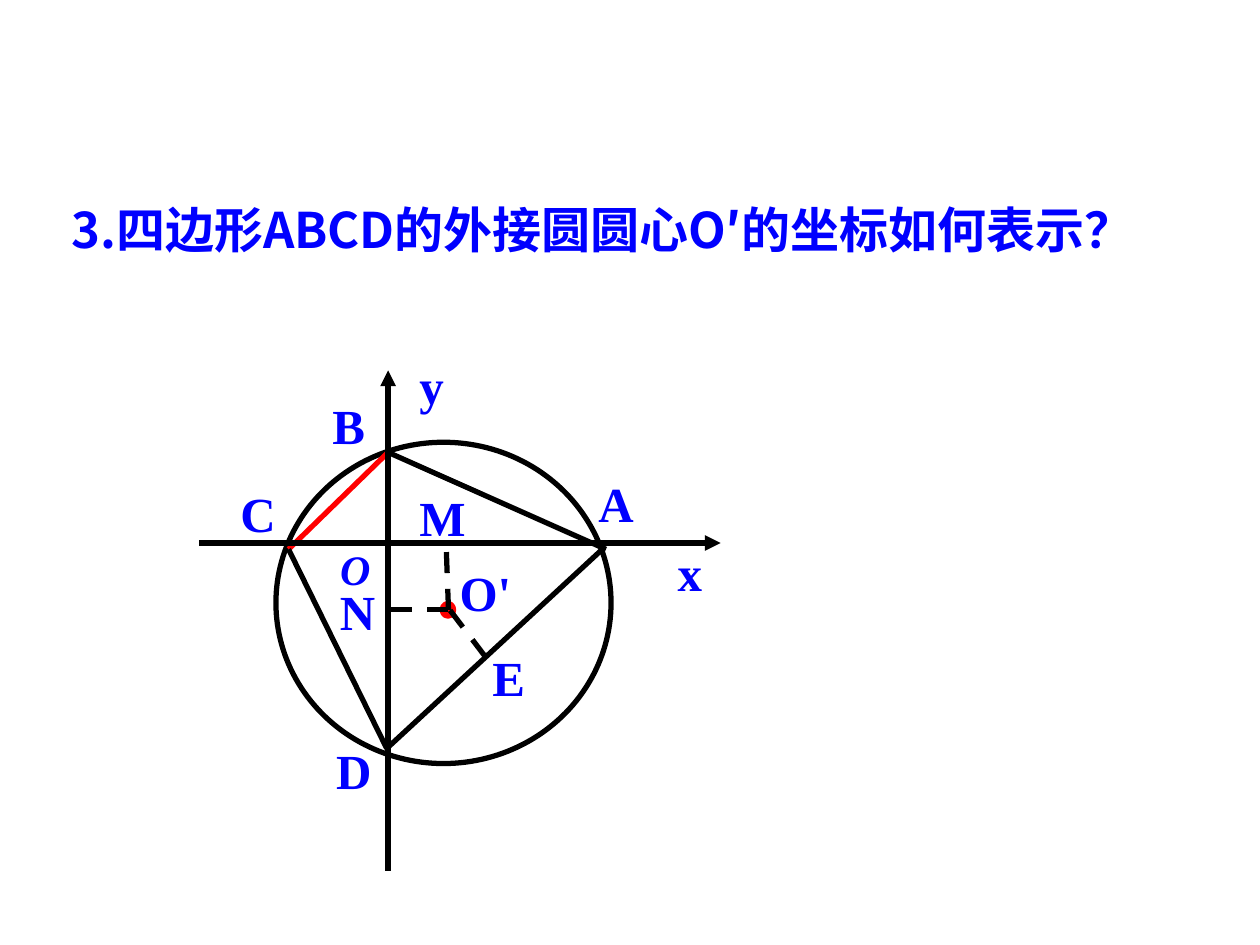
from lxml.etree import SubElement
from pptx import Presentation
from pptx.dml.color import RGBColor
from pptx.enum.dml import MSO_LINE_DASH_STYLE as DASH
from pptx.enum.shapes import MSO_CONNECTOR as CONNECTOR, MSO_SHAPE as SHAPE
from pptx.enum.text import MSO_AUTO_SIZE as AUTO_SIZE, PP_ALIGN as ALIGN
from pptx.oxml.ns import qn
from pptx.util import Pt

BLUE = RGBColor(0x00, 0x00, 0xFF)
RED = RGBColor(0xFF, 0x00, 0x00)
BLACK = RGBColor(0x00, 0x00, 0x00)
SERIF = "Times New Roman"
SANS = "Noto Sans CJK SC"


def add_text(shapes, text, left, top, width, height, font_name, size=28):
    box = shapes.add_textbox(Pt(left), Pt(top), Pt(width), Pt(height))
    box.text_frame.word_wrap = True
    box.text_frame.text = text
    para = box.text_frame.paragraphs[0]
    span = para.runs[0]
    span.font.name = font_name
    span.font.size = Pt(size)
    span.font.bold = True
    span.font.color.rgb = BLUE
    SubElement(span.font._element, qn("a:ea"), typeface=font_name)
    return box


def add_line(shapes, start, end, color=BLACK, dash=None, arrow=None):
    line = shapes.add_connector(CONNECTOR.STRAIGHT, *map(Pt, start + end))
    line.line.color.rgb = color
    line.line.width = Pt(3)
    if dash:
        line.line.dash_style = dash
    if arrow:
        SubElement(line.line._get_or_add_ln(), qn(arrow), type="triangle")
    SubElement(line._element.spPr, qn("a:effectLst"))


deck = Presentation()
deck.slide_width, deck.slide_height = Pt(720), Pt(540)
page = deck.slides.add_slide(deck.slide_layouts[6])

title = add_text(page.shapes, "3.四边形ABCD的外接圆圆心O′的坐标如何表示？", 33.8, 110.2, 671.8, 41, SANS)
title.text_frame.auto_size = AUTO_SIZE.SHAPE_TO_FIT_TEXT

figure = page.shapes.add_group_shape().shapes

circle = figure.add_shape(SHAPE.OVAL, Pt(157.7), Pt(252.7), Pt(191.5), Pt(183.6))
circle.shadow.inherit = False
circle.fill.background()
circle.line.color.rgb = BLACK
circle.line.width = Pt(3)

point_b, point_c, point_d = (221.8, 258.5), (164.9, 313.9), (221, 427.7)
for start, end, color in [
    (point_b, point_c, RED),
    (point_c, point_d, BLACK),
    (point_d, (344.2, 313.9), BLACK),
    (point_b, (346.3, 313.9), BLACK),
]:
    add_line(figure, start, end, color)

center_dot = figure.add_shape(SHAPE.OVAL, Pt(252.7), Pt(344.9), Pt(6.5), Pt(7.2))
center_dot.shadow.inherit = False
center_dot.fill.solid()
center_dot.fill.fore_color.rgb = RED
center_dot.line.color.rgb = RED
center_dot.line.width = Pt(3)

add_line(figure, (113.8, 310.3), (411.8, 310.3), arrow="a:tailEnd")
add_line(figure, (221.8, 211.7), (221.8, 497.5), arrow="a:headEnd")

center = (256.3, 348.5)
for start, end in [
    (center, (222.5, 348.5)),
    (center, (254.9, 310.3)),
    ((277.2, 375.1), (257, 348.5)),
]:
    add_line(figure, start, end, dash=DASH.DASH)

for name, left, top, width, height in [
    ("O'", 255.6, 318.2, 51.8, 40.3),
    ("A", 334.8, 267.1, 47.5, 43.2),
    ("B", 182.9, 222.5, 55.4, 38.9),
    ("C", 130.3, 272.9, 48.2, 39.6),
    ("D", 185, 419.8, 41.8, 43.2),
    ("x", 380.2, 306.7, 41, 45.4),
    ("y", 232.6, 199.4, 46.1, 33.8),
    ("E", 274.3, 366.5, 38.2, 31),
    ("N", 187.2, 329, 38.2, 31),
    ("M", 232.6, 275, 38.2, 31),
]:
    label = add_text(figure, name, left, top, width, height, SERIF)
    label.text_frame.paragraphs[0].alignment = ALIGN.JUSTIFY

origin = add_text(figure, "O", 187.2, 301, 41.8, 41.8, SERIF, 24)
para = origin.text_frame.paragraphs[0]
para.alignment = ALIGN.JUSTIFY
para.line_spacing = 1.2
para.runs[0].font.italic = True

deck.save("out.pptx")
